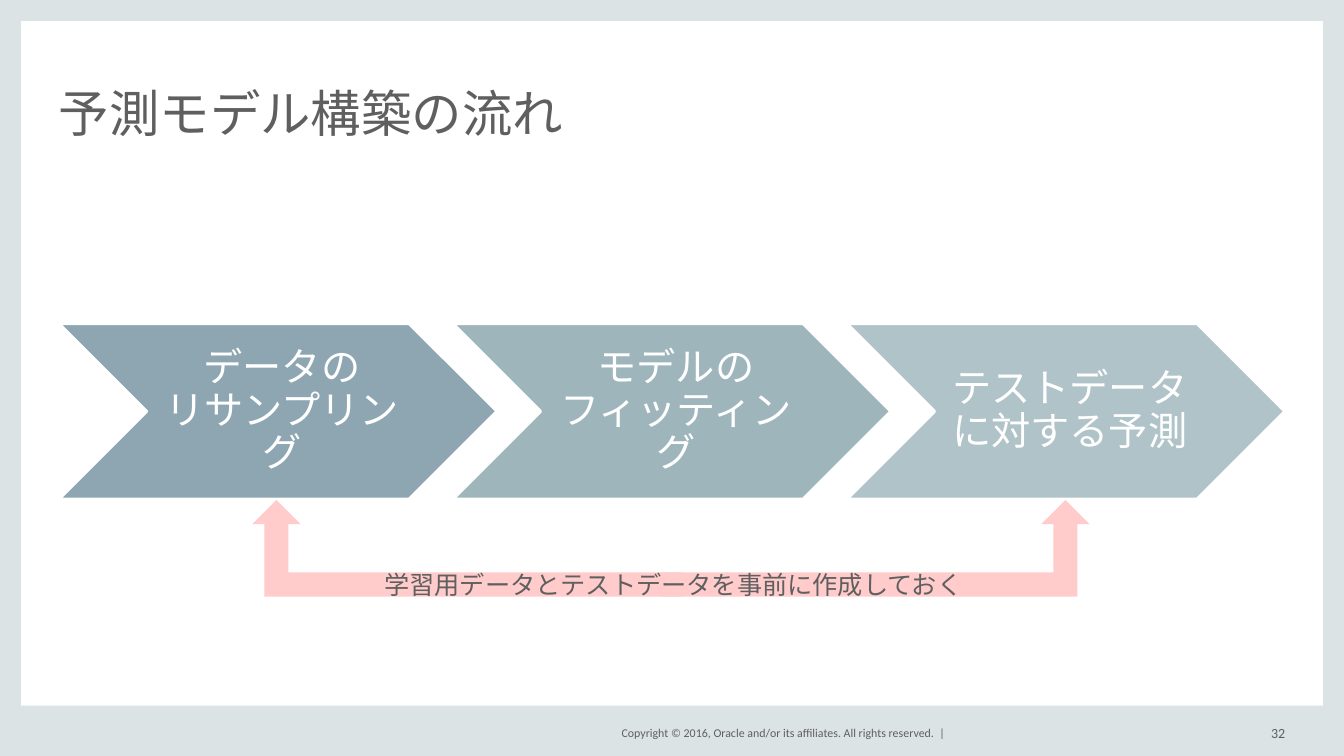
"""Build the slide showing the flow of predictive model construction."""
from dataclasses import dataclass

from pptx import Presentation
from pptx import util as u
from pptx.dml.color import RGBColor
from pptx.enum import shapes, text


@dataclass(frozen=True)
class Theme:
    font: str = "Calibri"
    ink: str = "5F5F5F"
    white: str = "FFFFFF"
    frame: str = "DCE3E4"
    loop: str = "FFCBCB"
    title_size: float = 36
    step_size: float = 28
    note_size: float = 18
    number_size: float = 10
    footer_size: float = 8.5


@dataclass(frozen=True)
class Rect:
    left: float
    top: float
    width: float
    height: float

    def lengths(self) -> tuple:
        return tuple(u.Pt(v) for v in (self.left, self.top, self.width, self.height))


@dataclass(frozen=True)
class Step:
    lines: tuple[str, ...]
    color: str


@dataclass(frozen=True)
class Label:
    words: str
    area: Rect
    size: float
    align: text.PP_ALIGN
    anchor: text.MSO_ANCHOR
    spacing: float = 1.0


THEME = Theme()
PAGE_WIDTH, PAGE_HEIGHT = 960, 540
EDGE, FOOTER_HEIGHT = 15, 36
FRAME = (
    Rect(0, 0, EDGE, PAGE_HEIGHT),
    Rect(PAGE_WIDTH - EDGE, 0, EDGE, PAGE_HEIGHT),
    Rect(0, PAGE_HEIGHT - FOOTER_HEIGHT, PAGE_WIDTH, FOOTER_HEIGHT),
    Rect(0, 0, PAGE_WIDTH, EDGE),
)
FIRST_CHEVRON = Rect(42.3, 231.2, 312.6, 125.2)
STEP_PITCH = 281.4
STEPS = (
    Step(("データの", "リサンプリング"), "8DA6B1"),
    Step(("モデルの", "フィッティング"), "9FB5BC"),
    Step(("テストデータに対する予測",), "B0C3C8"),
)
RIGHT_ARROW = Rect(471.6, 357.2, 306.7, 69)
LEFT_ARROW = Rect(180.2, 357.2, 306.7, 69)
LABELS = (
    Label("Copyright © 2016, Oracle and/or its affiliates. All rights reserved.  |",
          Rect(423.2, 516.4, 252, 14.4), THEME.footer_size,
          text.PP_ALIGN.RIGHT, text.MSO_ANCHOR.MIDDLE),
    Label("32", Rect(888, 516.4, 30, 14.4), THEME.number_size,
          text.PP_ALIGN.RIGHT, text.MSO_ANCHOR.MIDDLE),
    Label("学習用データとテストデータを事前に作成しておく",
          Rect(445, 409, 72, 19.4), THEME.note_size,
          text.PP_ALIGN.CENTER, text.MSO_ANCHOR.TOP, 0.9),
)


def add_solid(page, kind: shapes.MSO_SHAPE, area: Rect, color: str):
    shape = page.shapes.add_shape(kind, *area.lengths())
    shape.shadow.inherit = False
    shape.fill.solid()
    shape.fill.fore_color.rgb = RGBColor.from_string(color)
    shape.line.fill.background()
    return shape


def write(box, lines: tuple[str, ...], size: float, color: str, align: text.PP_ALIGN,
          anchor: text.MSO_ANCHOR, spacing: float, wrap: bool = True,
          insets: tuple[float, ...] = (0, 0, 0, 0)) -> None:
    frame = box.text_frame
    frame.auto_size = text.MSO_AUTO_SIZE.NONE
    frame.word_wrap = wrap
    frame.vertical_anchor = anchor
    (frame.margin_left, frame.margin_top,
     frame.margin_right, frame.margin_bottom) = map(u.Pt, insets)
    para = frame.paragraphs[0]
    para.alignment = align
    para.line_spacing = spacing
    for index, line in enumerate(lines):
        if index:
            para.add_line_break()
        span = para.add_run()
        span.text = line
        span.font.name = THEME.font
        span.font.size = u.Pt(size)
        span.font.color.rgb = RGBColor.from_string(color)


def add_title(page, words: str) -> None:
    title = page.shapes.title
    title.left, title.top, title.width, title.height = Rect(42, 31.7, 876, 70).lengths()
    write(title, (words,), THEME.title_size, THEME.ink,
          text.PP_ALIGN.LEFT, text.MSO_ANCHOR.BOTTOM, 0.8)


def add_step(page, step: Step, index: int) -> None:
    first = FIRST_CHEVRON
    left = first.left + index * STEP_PITCH
    area = Rect(left, first.top, first.width, first.height)
    chevron = add_solid(page, shapes.MSO_SHAPE.CHEVRON, area, step.color)
    chevron.line.color.rgb = RGBColor.from_string(THEME.white)
    chevron.line.width = u.Pt(2)
    inner = Rect(left + first.height / 2, first.top,
                 first.width - first.height, first.height)
    box = page.shapes.add_textbox(*inner.lengths())
    write(box, step.lines, THEME.step_size, THEME.white, text.PP_ALIGN.CENTER,
          text.MSO_ANCHOR.MIDDLE, 0.9, insets=(8.4, 2.8, 2.8, 2.8))


def add_label(page, label: Label) -> None:
    box = page.shapes.add_textbox(*label.area.lengths())
    write(box, (label.words,), label.size, THEME.ink, label.align,
          label.anchor, label.spacing, wrap=False)


def main() -> None:
    deck = Presentation()
    deck.slide_width, deck.slide_height = u.Pt(PAGE_WIDTH), u.Pt(PAGE_HEIGHT)
    page = deck.slides.add_slide(deck.slide_layouts[5])
    for area in FRAME:
        add_solid(page, shapes.MSO_SHAPE.RECTANGLE, area, THEME.frame)
    add_title(page, "予測モデル構築の流れ")
    for index, step in enumerate(STEPS):
        add_step(page, step, index)
    add_solid(page, shapes.MSO_SHAPE.BENT_UP_ARROW, RIGHT_ARROW, THEME.loop)
    mirrored = add_solid(page, shapes.MSO_SHAPE.BENT_UP_ARROW, LEFT_ARROW, THEME.loop)
    mirrored.element.spPr.xfrm.set("flipH", "1")
    for label in LABELS:
        add_label(page, label)
    deck.save("out.pptx")


if __name__ == "__main__":
    main()
